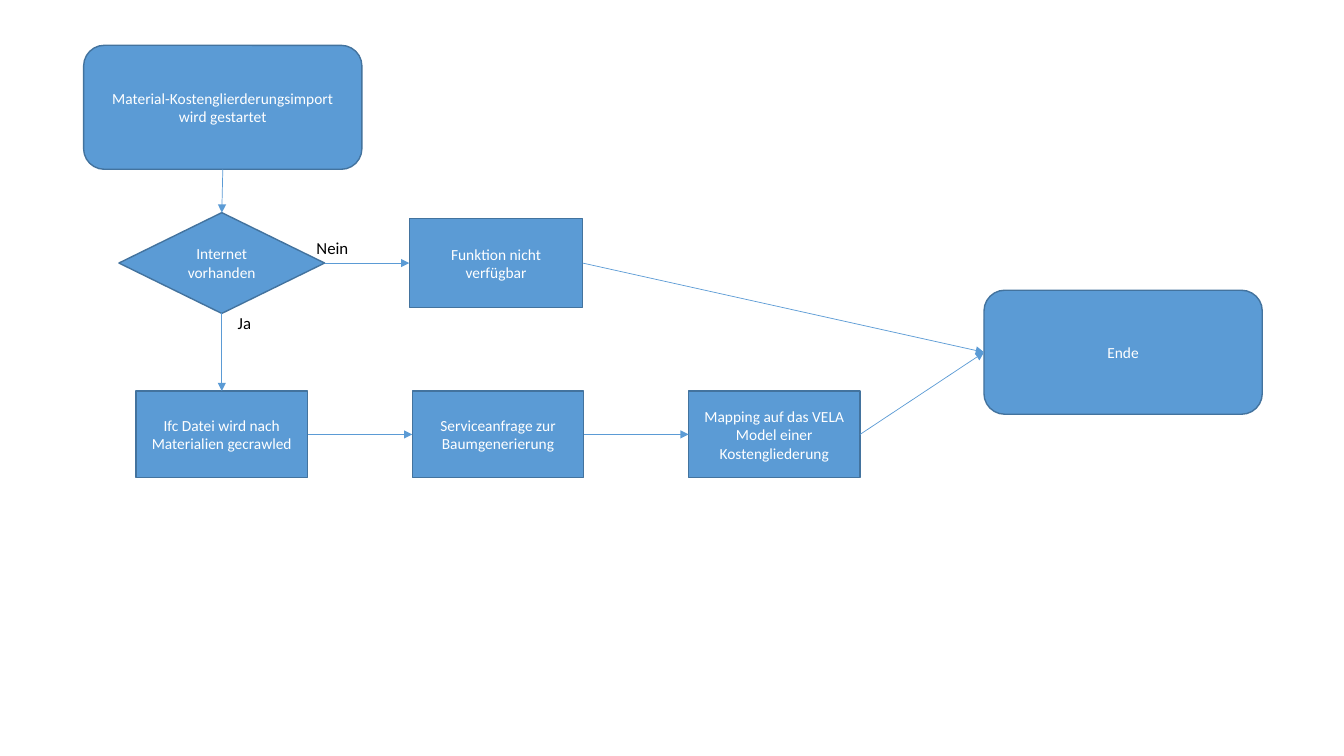
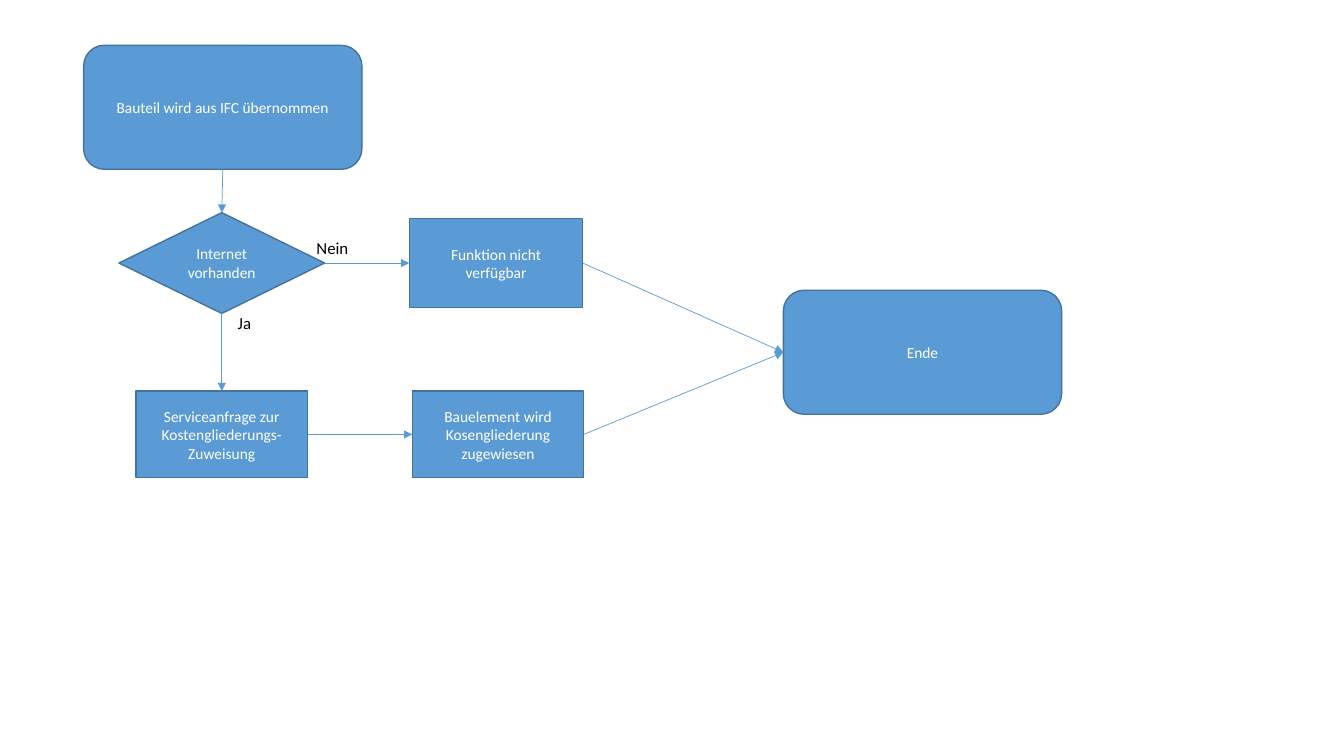
from pptx import Presentation
from pptx.dml.color import RGBColor
from pptx.enum.shapes import MSO_CONNECTOR, MSO_SHAPE
from pptx.enum.text import MSO_ANCHOR, MSO_AUTO_SIZE, PP_ALIGN
from pptx.oxml.ns import qn
from pptx.util import Inches, Pt
from lxml import etree

ROUND = MSO_SHAPE.ROUNDED_RECTANGLE
RECT = MSO_SHAPE.RECTANGLE
CHOICE = MSO_SHAPE.FLOWCHART_DECISION
LINE = MSO_CONNECTOR.STRAIGHT
MIDDLE, CENTER = MSO_ANCHOR.MIDDLE, PP_ALIGN.CENTER
FIT = MSO_AUTO_SIZE.SHAPE_TO_FIT_TEXT
TOP, LEFT, BOTTOM, RIGHT = range(4)

FLOWS = [
    {
        "start": "Material-Kostenglierderungsimport wird gestartet",
        "steps": [
            "Ifc Datei wird nach Materialien gecrawled",
            "Serviceanfrage zur Baumgenerierung",
            "Mapping auf das VELA Model einer Kostengliederung",
        ],
        "end_x": 9.76,
    },
    {
        "start": "Bauteil wird aus IFC übernommen",
        "steps": [
            "Serviceanfrage zur Kostengliederungs-Zuweisung",
            "Bauelement wird Kosengliederung zugewiesen",
        ],
        "end_x": 7.77,
    },
]
LABELS = [("Nein", (3.04, 2.31, 0.52, 0.3)), ("Ja", (2.26, 3.05, 0.34, 0.3))]

COLORS = {"fill": "5B9BD5", "edge": "43739E", "light": "FFFFFF", "dark": "000000"}
FONTS = {
    "box": {"name": "Calibri", "size": Pt(11)},
    "label": {"name": "Calibri", "size": Pt(12)},
}
END_SIZE = (2.76, 1.23)
STEP_SIZE = (1.7, 0.86)
STEP_X, STEP_Y, STEP_GAP = 1.35, 3.88, 1.04


def color(name):
    return RGBColor.from_string(COLORS[name])


def write(frame, text, style, tone):
    para = frame.paragraphs[0]
    para.text = text
    for key, value in FONTS[style].items():
        setattr(para.font, key, value)
    para.font.color.rgb = color(tone)
    return para


def add_box(slide, kind, text, area):
    box = slide.shapes.add_shape(kind, *map(Inches, area))
    box.shadow.inherit = False
    box.fill.solid()
    box.fill.fore_color.rgb = color("fill")
    box.line.color.rgb = color("edge")
    box.line.width = Pt(1)
    frame = box.text_frame
    frame.word_wrap = True
    frame.vertical_anchor = MIDDLE
    write(frame, text, "box", "light").alignment = CENTER
    return box


def add_arrow(slide, source, out, target, into):
    arrow = slide.shapes.add_connector(LINE, 0, 0, 0, 0)
    arrow.begin_connect(source, out)
    arrow.end_connect(target, into)
    arrow.line.color.rgb = color("fill")
    arrow.line.width = Pt(0.5)
    etree.SubElement(arrow.line._get_or_add_ln(), qn("a:tailEnd"), type="triangle")
    etree.SubElement(arrow._element.spPr, qn("a:effectLst"))


def add_label(slide, text, area):
    frame = slide.shapes.add_textbox(*map(Inches, area)).text_frame
    frame.word_wrap = False
    frame.auto_size = FIT
    write(frame, text, "label", "dark")


def add_flow(slide, flow):
    start = add_box(slide, ROUND, flow["start"], (0.83, 0.45, *END_SIZE))
    check = add_box(slide, CHOICE, "Internet vorhanden", (1.18, 2.11, 2.04, 1))
    fail = add_box(slide, RECT, "Funktion nicht verfügbar", (4.06, 2.17, 1.72, 0.88))
    pitch = STEP_SIZE[0] + STEP_GAP
    steps = [
        add_box(slide, RECT, text, (STEP_X + i * pitch, STEP_Y, *STEP_SIZE))
        for i, text in enumerate(flow["steps"])
    ]
    end = add_box(slide, ROUND, "Ende", (flow["end_x"], 2.88, *END_SIZE))

    add_arrow(slide, start, BOTTOM, check, TOP)
    add_arrow(slide, check, BOTTOM, steps[0], TOP)
    for row in ([check, fail, end], [*steps, end]):
        for source, target in zip(row, row[1:]):
            add_arrow(slide, source, RIGHT, target, LEFT)
    for text, area in LABELS:
        add_label(slide, text, area)


deck = Presentation()
deck.slide_width, deck.slide_height = Inches(13.33), Inches(7.5)
blank = deck.slide_layouts[6]
for flow in FLOWS:
    add_flow(deck.slides.add_slide(blank), flow)
deck.save("out.pptx")
